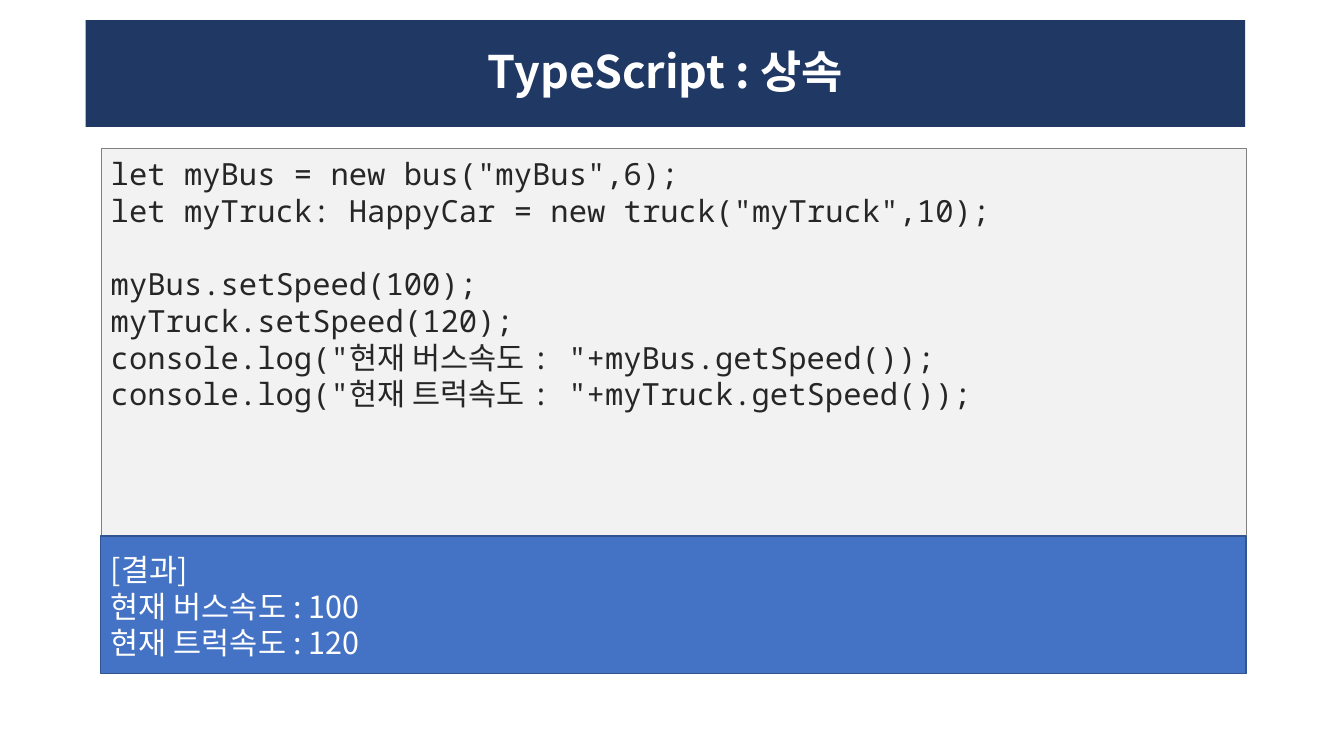
from dataclasses import dataclass
from lxml.etree import SubElement
from pptx import Presentation
from pptx.dml.color import RGBColor as Rgb
from pptx.enum.shapes import MSO_SHAPE as Kind
from pptx.enum.text import MSO_ANCHOR as Anchor, PP_ALIGN as Align
from pptx.oxml.ns import qn
from pptx.util import Inches, Pt


@dataclass(frozen=True)
class Theme:
    navy: str = "203864"
    white: str = "FFFFFF"
    pale: str = "F2F2F2"
    gray: str = "808080"
    ink: str = "262626"
    blue: str = "4472C4"
    edge: str = "325491"
    sans: str = "Noto Sans CJK KR"
    mono: str = "Noto Sans Mono"
    head: float = 32
    body: float = 21.8
    pitch: float = 26.2


T = Theme()
WIDE, HIGH = Inches(13.33), Inches(7.5)
LEFT, SPAN = 7.5, 85.2

CODE = [
    [
        'let myBus = new bus("myBus",6);',
        'let myTruck: HappyCar = new truck("myTruck",10);',
    ],
    [
        "myBus.setSpeed(100);",
        "myTruck.setSpeed(120);",
        'console.log("현재 버스속도 : "+myBus.getSpeed());',
        'console.log("현재 트럭속도 : "+myTruck.getSpeed());',
    ],
]
RESULT = [["[결과]", "현재 버스속도 : 100", "현재 트럭속도 : 120"]]


def add_box(slide, area, fill, line=None, width=1):
    x, y, w, h = area
    box = slide.shapes.add_shape(
        Kind.RECTANGLE,
        int(WIDE * x / 100), int(HIGH * y / 100),
        int(WIDE * w / 100), int(HIGH * h / 100),
    )
    box.shadow.inherit = False
    box.fill.solid()
    box.fill.fore_color.rgb = Rgb.from_string(fill)
    if line:
        box.line.color.rgb = Rgb.from_string(line)
        box.line.width = Pt(width)
    else:
        box.line.fill.background()
    box.text_frame.word_wrap = True
    return box


def style(para, face, size, color, bold=False):
    for run in para.runs:
        font = run.font
        font.name, font.size, font.bold = face, Pt(size), bold
        font.color.rgb = Rgb.from_string(color)
        SubElement(font._element, qn("a:ea")).set("typeface", T.sans)


def add_title(slide, text):
    box = add_box(slide, (6.38, 2.67, 86.27, 14.13), T.navy)
    box.text_frame.vertical_anchor = Anchor.MIDDLE
    para = box.text_frame.paragraphs[0]
    para.text = text
    para.alignment = Align.CENTER
    para.line_spacing = 0.9
    style(para, T.sans, T.head, T.white, True)


def add_lines(box, blocks, face, color, anchor):
    frame = box.text_frame
    frame.vertical_anchor = anchor
    frame.margin_top = Inches(0.07)
    frame.text = "\n".join(line for block in blocks for line in block)
    for para in frame.paragraphs:
        para.alignment = Align.LEFT
        para.line_spacing = Pt(T.pitch)
        style(para, face, T.body, color)
    start = 0
    for block in blocks[:-1]:
        start += len(block)
        frame.paragraphs[start].space_before = Pt(T.pitch)


def main():
    deck = Presentation()
    deck.slide_width, deck.slide_height = WIDE, HIGH
    slide = deck.slides.add_slide(deck.slide_layouts[6])
    add_title(slide, "TypeScript : 상속")
    code = add_box(slide, (LEFT, 19.6, SPAN, 69.47), T.pale, T.gray, 0.25)
    add_lines(code, CODE, T.mono, T.ink, Anchor.TOP)
    result = add_box(slide, (LEFT, 70.93, SPAN, 18.13), T.blue, T.edge)
    add_lines(result, RESULT, T.sans, T.white, Anchor.MIDDLE)
    deck.save("out.pptx")


if __name__ == "__main__":
    main()
